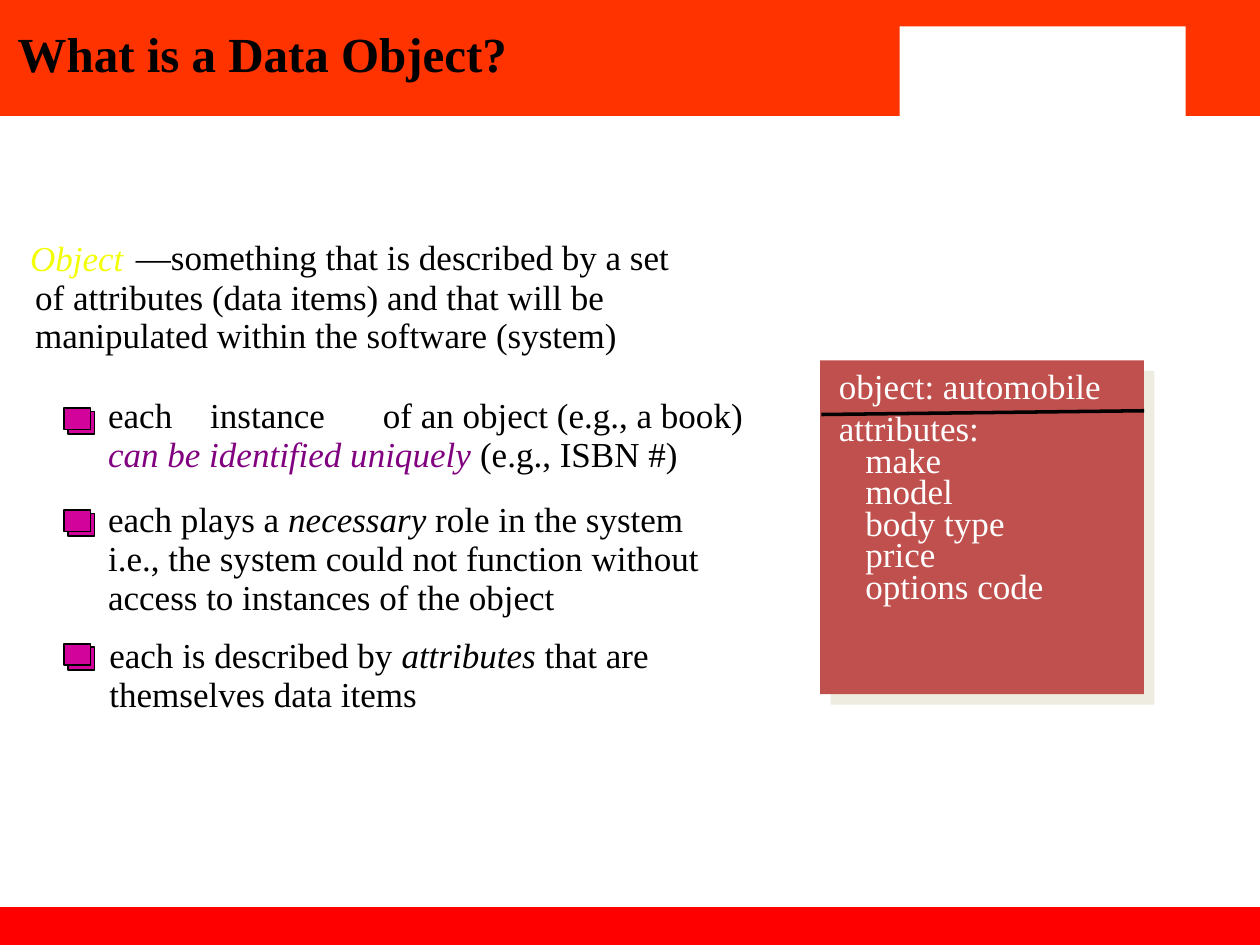
from lxml import etree
from pptx import Presentation
from pptx.dml.color import RGBColor
from pptx.enum import shapes, text
from pptx.oxml import parse_xml
from pptx.oxml.ns import qn
from pptx.util import Inches, Pt

NS = "http://schemas.openxmlformats.org/drawingml/2006/main"
BLACK, WHITE = "000000", "FFFFFF"
ORANGE, RED, MAGENTA, BRICK = "FF3300", "FF0000", "D1039B", "C0504D"
YELLOW, PURPLE = "F3FF07", "800080"


def rgb(value):
    """Turn a hex string into a colour."""
    return RGBColor.from_string(value)


def add_rect(parent, left, top, width, height, fill, line=None):
    """Add a flat rectangle, outlined if a line colour is given."""
    sp = parent.add_shape(shapes.MSO_SHAPE.RECTANGLE, Inches(left), Inches(top),
                          Inches(width), Inches(height))
    sp.shadow.inherit = False
    sp.fill.solid()
    sp.fill.fore_color.rgb = rgb(fill)
    if line:
        sp.line.color.rgb = rgb(line)
        sp.line.width = Pt(1)
    else:
        sp.line.fill.background()
    return sp


def add_run(p, words, color=BLACK, **formats):
    """Add a run to a paragraph with the slide's font."""
    r = p.add_run()
    r.text = words
    for name, value in {"name": "Times New Roman", "size": Pt(20), **formats}.items():
        setattr(r.font, name, value)
    r.font.color.rgb = rgb(color)


def add_textbox(s, left, top, width, height):
    """Add an empty wrapping text box and return its text frame."""
    tf = s.shapes.add_textbox(Inches(left), Inches(top), Inches(width), Inches(height)).text_frame
    tf.word_wrap = True
    tf.auto_size = text.MSO_AUTO_SIZE.SHAPE_TO_FIT_TEXT
    return tf


def add_line_of_text(s, left, top, width, *runs):
    """Add one line of text from (words, formats) runs."""
    p = add_textbox(s, left, top, width, 0.43).paragraphs[0]
    for words, formats in runs:
        add_run(p, words, **formats)


def add_bands(s):
    """Draw the header band with its white notch, and the footer band."""
    add_rect(s.shapes, 0, 0, 10, 0.92, ORANGE)
    add_rect(s.shapes, 0, 7.2, 10, 0.3, RED)
    add_rect(s.shapes, 7.14, 0.21, 2.27, 0.75, WHITE)


def add_title(s, left, top, width, height, words):
    """Place and format the title placeholder above the bands."""
    title = s.shapes.title
    title.element.getparent().append(title.element)
    title.left, title.top, title.width, title.height = map(Inches, (left, top, width, height))
    tf = title.text_frame
    tf.vertical_anchor = text.MSO_ANCHOR.MIDDLE
    tf.auto_size = text.MSO_AUTO_SIZE.NONE
    p = tf.paragraphs[0]
    p.alignment = text.PP_ALIGN.LEFT
    add_run(p, words, size=Pt(28), bold=True)


def add_definition(s, left, top):
    """Write the definition of an object."""
    add_line_of_text(s, left, top + 0.01, 0.95, ("Object", {"color": YELLOW, "italic": True}))
    add_line_of_text(s, left + 0.84, top, 7.1, ("—something that is described by a set", {}))
    add_line_of_text(s, left + 0.04, top + 0.32, 4.81,
                     ("of attributes (data items) and that will be", {}))
    add_line_of_text(s, left + 0.04, top + 0.62, 4.85,
                     ("manipulated within the software (system)", {}))


def add_marker(s, left, top):
    """Draw a bullet of two overlapping squares."""
    group = s.shapes.add_group_shape().shapes
    add_rect(group, left + 0.03, top + 0.025, 0.21, 0.18, MAGENTA, BLACK)
    add_rect(group, left, top, 0.21, 0.17, MAGENTA, BLACK)


def add_points(s, left):
    """Write the three bulleted points."""
    italic = {"italic": True}
    x, pitch = left + 0.25, 0.31
    for offset, width, words in ((0, 0.78, "each"), (0.81, 1.12, "instance"),
                                 (2.18, 3.15, "of an object (e.g., a book)")):
        add_line_of_text(s, x + offset, 3.07, width, (words, {}))
    points = (
        (x, 3.38, [[("can be identified uniquely", {"color": PURPLE, **italic}),
                    (" (e.g., ISBN #)", {})]]),
        (x, 3.9, [[("each plays a ", {}), ("necessary", italic), (" role in the system", {})],
                  [("i.e., the system could not function without", {})],
                  [("access to instances of the object", {})]]),
        (x + 0.01, 4.98, [[("each is described by ", {}), ("attributes", italic),
                           (" that are", {})],
                          [("themselves data items", {})]]),
    )
    for line_left, top, lines in points:
        for i, runs in enumerate(lines):
            add_line_of_text(s, line_left, top + i * pitch, 5, *runs)
    for top in (3.24, 4.05, 5.11):
        add_marker(s, left, top)


def add_object_card(s, left, top, width, height):
    """Draw the card of an example object and its attributes."""
    card = add_rect(s.shapes, left, top, width, height, BRICK)
    effects = card._element.spPr.find(qn("a:effectLst"))
    effects.append(parse_xml(
        f'<a:outerShdw xmlns:a="{NS}" dist="{Pt(8.5)}" dir="2700000" algn="ctr" rotWithShape="0">'
        '<a:srgbClr val="EEECE1"/></a:outerShdw>'))
    tf = add_textbox(s, left + 0.05, top - 0.02, 2.29, 2.04)
    headings = ("object: automobile", "attributes:")
    attributes = ("make", "model", "body type", "price", "options code")
    for i, words in enumerate(headings + attributes):
        p = tf.add_paragraph() if i else tf.paragraphs[0]
        if words in attributes:
            p.line_spacing = 0.75
            p._p.get_or_add_pPr().set("marL", str(Inches(0.21)))
        add_run(p, words, color=WHITE)
    rule = s.shapes.add_connector(shapes.MSO_CONNECTOR.STRAIGHT, Inches(left + 0.01),
                                  Inches(top + 0.43), Inches(left + width), Inches(top + 0.4))
    rule.line.color.rgb = rgb(BLACK)
    rule.line.width = Pt(2)
    etree.SubElement(rule._element.spPr, qn("a:effectLst"))


def main():
    """Build the slide and save it."""
    prs = Presentation()
    prs.slide_width, prs.slide_height = Inches(10), Inches(7.5)
    s = prs.slides.add_slide(prs.slide_layouts[5])
    add_bands(s)
    add_title(s, 0.04, 0.04, 7.54, 0.76, "What is a Data Object?")
    add_definition(s, 0.14, 1.82)
    add_points(s, 0.51)
    add_object_card(s, 6.51, 2.86, 2.57, 2.65)
    prs.save("out.pptx")


if __name__ == "__main__":
    main()
